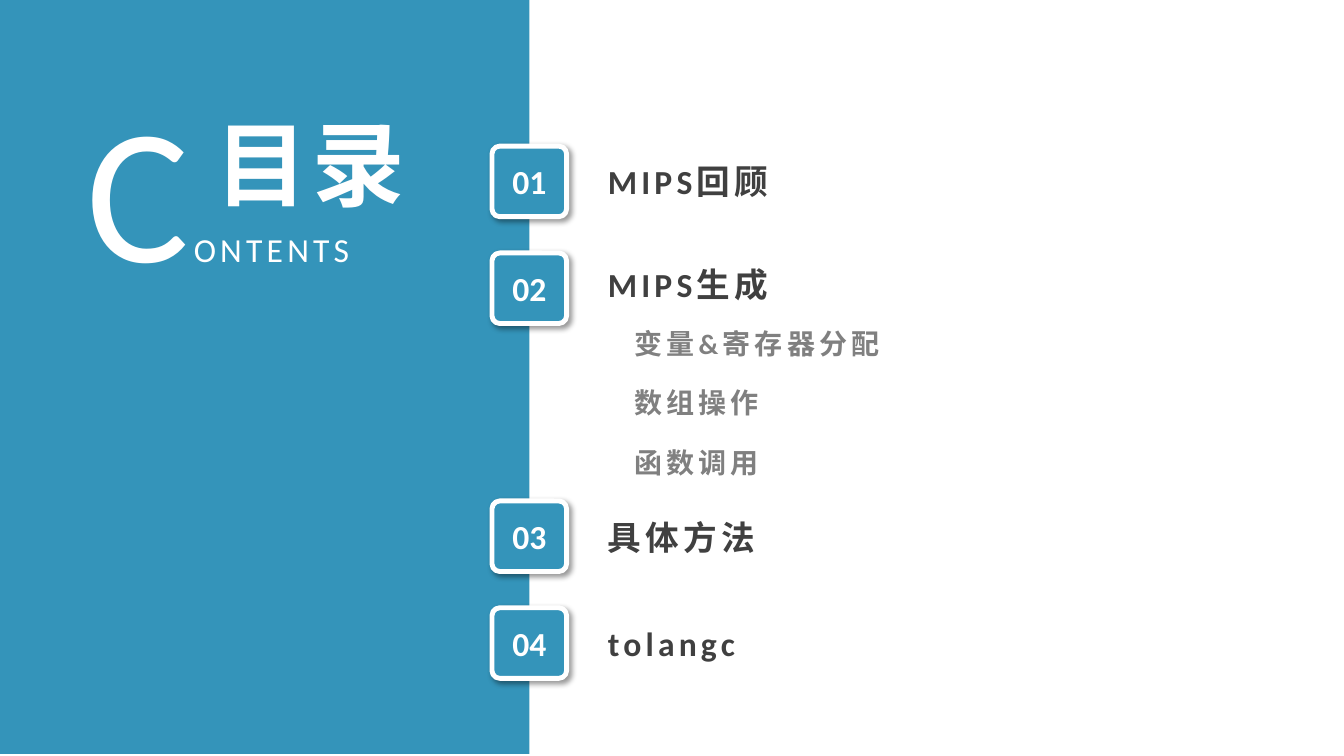
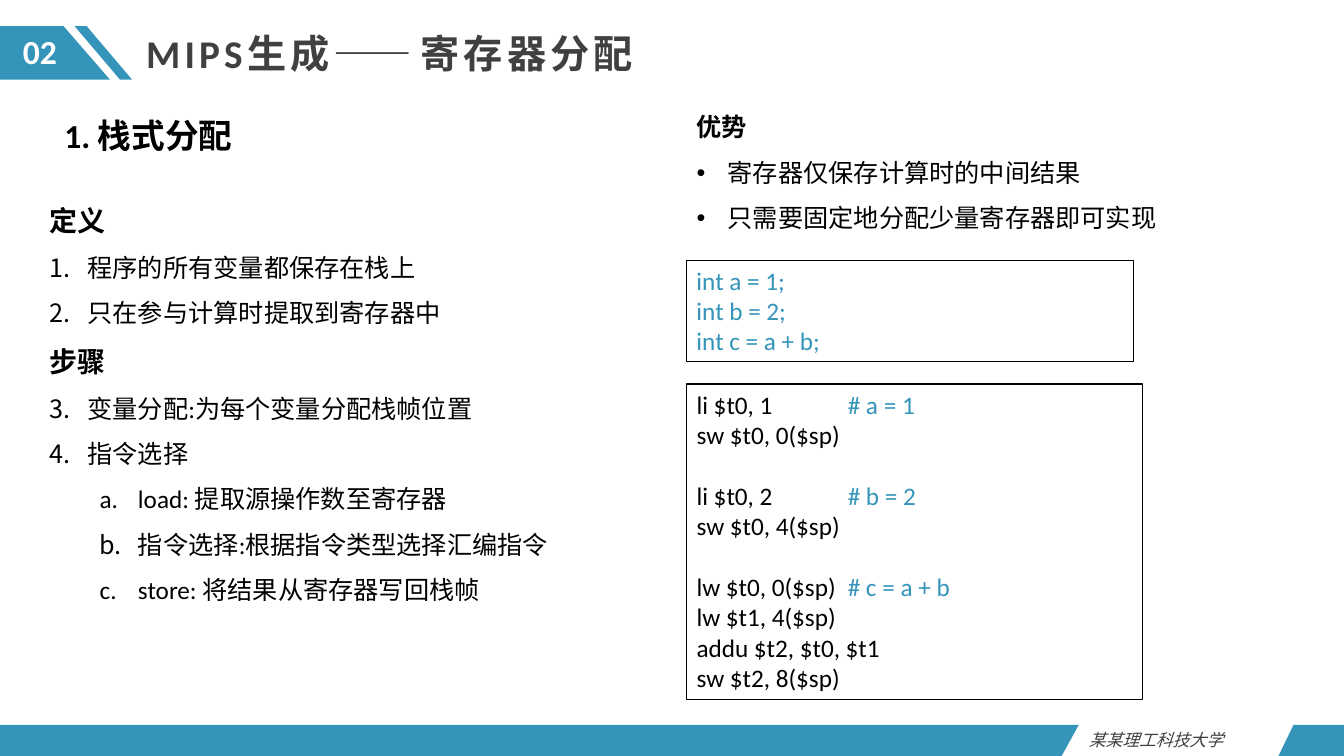
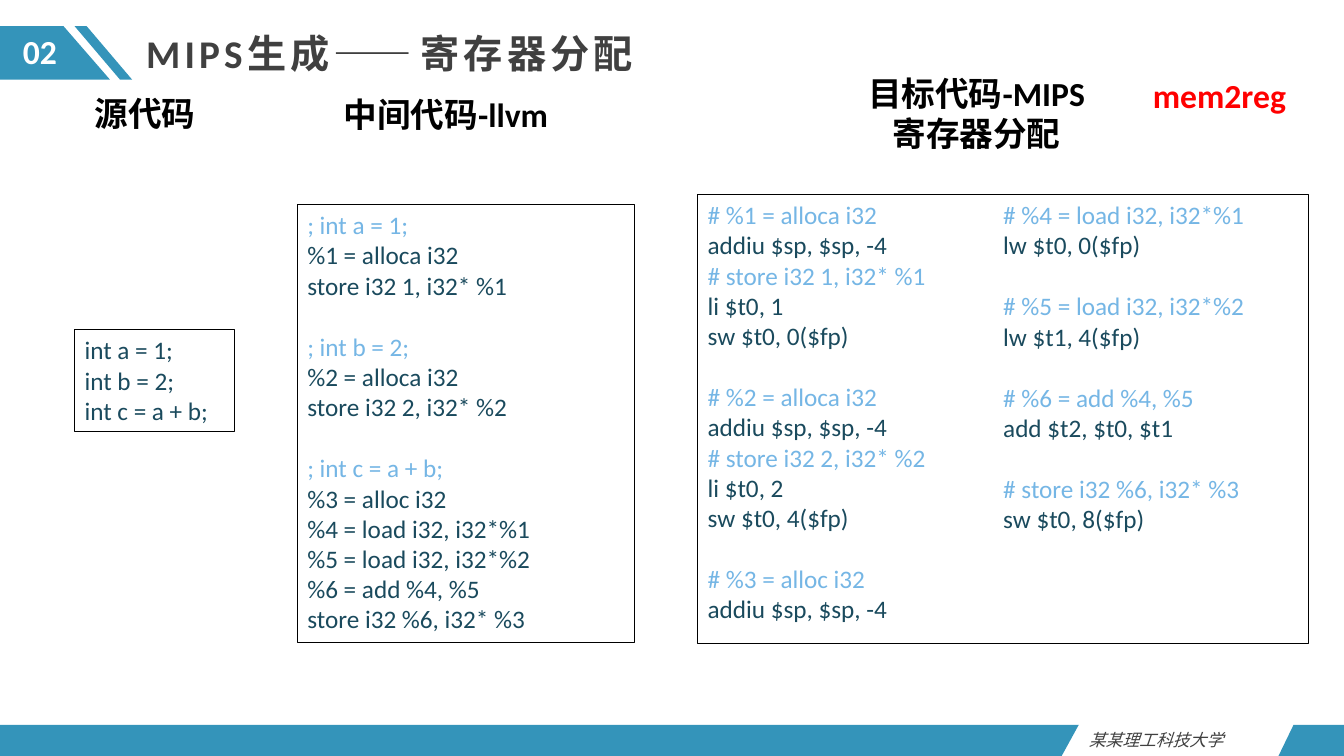
from dataclasses import dataclass

from lxml import etree
from pptx import Presentation
from pptx import util as u
from pptx.dml.color import RGBColor
from pptx.enum import lang, shapes, text
from pptx.oxml import parse_xml
from pptx.oxml.ns import nsdecls, qn

LEFT, CENTER = text.PP_ALIGN.LEFT, text.PP_ALIGN.CENTER


@dataclass(frozen=True)
class Theme:
    font: str = "Calibri"
    accent: str = "3494BA"
    white: str = "FFFFFF"
    black: str = "000000"
    dark: str = "404040"
    gray: str = "808080"
    navy: str = "1A4A5D"
    sky: str = "75B6E5"
    red: str = "FF0000"
    initial: int = 138
    cover: int = 66
    title: int = 28
    head: int = 24
    sub: int = 20
    body: int = 18
    note: int = 12
    code_gap: int = 22


T = Theme()


def box(at):
    return [u.Inches(v) for v in at]


class Deck:
    def __init__(self):
        self.prs = Presentation()
        self.prs.slide_width = u.Inches(13.33)
        self.prs.slide_height = u.Inches(7.5)
        self.s = None

    def new_slide(self):
        self.s = self.prs.slides.add_slide(self.prs.slide_layouts[5])

    def style(self, r, size, color, bold=False, italic=False, spaced=False):
        f = r.font
        f.name, f.size, f.bold, f.italic = T.font, u.Pt(size), bold, italic
        f.color.rgb = RGBColor.from_string(color)
        f.language_id = lang.MSO_LANGUAGE_ID.SIMPLIFIED_CHINESE
        if spaced:
            r._r.get_or_add_rPr().set("spc", "300")

    def frame(self, sp, anchor=text.MSO_ANCHOR.TOP):
        tf = sp.text_frame
        tf.word_wrap = True
        tf.auto_size = text.MSO_AUTO_SIZE.NONE
        tf.vertical_anchor = anchor
        return tf

    def paint(self, sp, fill=None, line=None, width=0.75):
        sp.shadow.inherit = False
        if fill:
            sp.fill.solid()
            sp.fill.fore_color.rgb = RGBColor.from_string(fill)
        else:
            sp.fill.background()
        if line:
            sp.line.color.rgb = RGBColor.from_string(line)
            sp.line.width = u.Pt(width)
        else:
            sp.line.fill.background()

    def title(self, at, words, size, color):
        sp = self.s.shapes.title
        sp.left, sp.top, sp.width, sp.height = box(at)
        sp.element.getparent().append(sp.element)
        tf = self.frame(sp)
        tf.text = words
        p = tf.paragraphs[0]
        p.alignment = LEFT
        self.style(p.runs[0], size, color, bold=True, spaced=True)

    def label(self, at, words, size, color, align=LEFT, spacing=1.0, bold=True, **font):
        tf = self.frame(self.s.shapes.add_textbox(*box(at)))
        tf.text = words
        for p in tf.paragraphs:
            p.alignment, p.line_spacing = align, spacing
            self.style(p.runs[0], size, color, bold, **font)
        return tf

    def rect(self, at, fill):
        sp = self.s.shapes.add_shape(shapes.MSO_SHAPE.RECTANGLE, *box(at))
        self.paint(sp, fill)

    def polygon(self, *points):
        start, *rest = [box(pt) for pt in points]
        fb = self.s.shapes.build_freeform(*start)
        fb.add_line_segments(rest, close=True)
        self.paint(fb.convert_to_shape(), T.accent)

    def badge(self, top, number):
        sp = self.s.shapes.add_shape(
            shapes.MSO_SHAPE.ROUNDED_RECTANGLE, *box((4.88, top, 0.74, 0.7)))
        sp.adjustments[0] = 0.11
        self.paint(sp, T.accent, T.white, 3.5)
        sp.element.spPr.find(qn("a:effectLst")).append(parse_xml(
            f'<a:outerShdw {nsdecls("a")} blurRad="{u.Pt(4)}" dist="{u.Pt(3)}" '
            'dir="2700000" algn="tl" rotWithShape="0"><a:srgbClr val="000000">'
            '<a:alpha val="40000"/></a:srgbClr></a:outerShdw>'))
        tf = self.frame(sp, text.MSO_ANCHOR.MIDDLE)
        tf.margin_left = tf.margin_right = 0
        tf.text = number
        tf.paragraphs[0].alignment = CENTER
        self.style(tf.paragraphs[0].runs[0], T.head, T.white, bold=True)

    def outline(self, at, items):
        tf = self.frame(self.s.shapes.add_textbox(*box(at)))
        tf.text = "\n".join(words for _, words, _ in items)
        for p, (kind, _, size) in zip(tf.paragraphs, items):
            p.line_spacing = 1.5
            self.style(p.runs[0], size, T.black, bold=kind is None)
            if kind:
                self.bullet(p, kind)

    def bullet(self, p, kind):
        p.level = 1 if kind == "alphaLcPeriod" else 0
        hang = 0.31 if kind == "•" else 0.38
        pPr = p._p.get_or_add_pPr()
        pPr.set("marL", str(u.Inches(hang + 0.5 * p.level)))
        pPr.set("indent", str(-u.Inches(hang)))
        if kind == "•":
            etree.SubElement(pPr, qn("a:buFont")).set("typeface", "Arial")
            etree.SubElement(pPr, qn("a:buChar")).set("char", kind)
        else:
            etree.SubElement(pPr, qn("a:buFont")).set("typeface", "+mj-lt")
            etree.SubElement(pPr, qn("a:buAutoNum")).set("type", kind)

    def code(self, at, source, color, remark, columns=1, tab=None):
        sp = self.s.shapes.add_shape(shapes.MSO_SHAPE.RECTANGLE, *box(at))
        self.paint(sp, line=T.black)
        tf = self.frame(sp)
        if columns > 1:
            tf._txBody.bodyPr.set("numCol", str(columns))
        blocks = [b.splitlines() for b in source.strip().split("\n\n")]
        lines = [(line, b > 0 and i == 0)
                 for b, block in enumerate(blocks) for i, line in enumerate(block)]
        for n, (line, gap) in enumerate(lines):
            p = tf.add_paragraph() if n else tf.paragraphs[0]
            p.alignment = LEFT
            if gap:
                p.space_before = u.Pt(T.code_gap)
            mark = ";" if line.startswith(";") else "#"
            command, found, comment = line.partition(mark)
            for words, shade in ((command, color), (found + comment, remark)):
                if words:
                    r = p.add_run()
                    r.text = words
                    self.style(r, T.body, shade)
            if tab and "\t" in line:
                stops = etree.SubElement(p._p.get_or_add_pPr(), qn("a:tabLst"))
                stop = etree.SubElement(stops, qn("a:tab"))
                stop.set("pos", str(u.Inches(tab)))
                stop.set("algn", "l")

    def content_slide(self, number, words):
        self.new_slide()
        self.title((1.35, 0.24, 6.78, 0.57), words, T.title, T.dark)
        self.polygon((0, 0.26), (0.63, 0.26), (1.09, 0.79), (0, 0.79))
        self.polygon((0.86, 0.26), (1.31, 0.79), (1.19, 0.79), (0.74, 0.26))
        self.label((0, 0.26, 0.79, 0.5), number, T.head, T.white, CENTER)
        self.polygon((0, 7.19), (10.7, 7.19), (10.53, 7.5), (0, 7.5))
        self.polygon((12.83, 7.19), (13.33, 7.19), (13.33, 7.5), (12.68, 7.5))
        self.label((10.7, 7.19, 1.98, 0.3), "某某理工科技大学", T.note, T.dark,
                   bold=False, italic=True)


SOURCE = """
int a = 1;
int b = 2;
int c = a + b;
"""

STACK_CODE = """
li $t0, 1\t# a = 1
sw $t0, 0($sp)

li $t0, 2\t# b = 2
sw $t0, 4($sp)

lw $t0, 0($sp)\t# c = a + b
lw $t1, 4($sp)
addu $t2, $t0, $t1
sw $t2, 8($sp)
"""

LLVM_CODE = """
; int a = 1;
%1 = alloca i32
store i32 1, i32* %1

; int b = 2;
%2 = alloca i32
store i32 2, i32* %2

; int c = a + b;
%3 = alloc i32
%4 = load i32, i32*%1
%5 = load i32, i32*%2
%6 = add %4, %5
store i32 %6, i32* %3
"""

MIPS_CODE = """
# %1 = alloca i32
addiu $sp, $sp, -4
# store i32 1, i32* %1
li $t0, 1
sw $t0, 0($fp)

# %2 = alloca i32
addiu $sp, $sp, -4
# store i32 2, i32* %2
li $t0, 2
sw $t0, 4($fp)

# %3 = alloc i32
addiu $sp, $sp, -4
# %4 = load i32, i32*%1
lw $t0, 0($fp)

# %5 = load i32, i32*%2
lw $t1, 4($fp)

# %6 = add %4, %5
add $t2, $t0, $t1

# store i32 %6, i32* %3
sw $t0, 8($fp)
"""

TOPIC = "MIPS生成——寄存器分配"


def contents(d):
    d.new_slide()
    d.rect((0, -0.02, 5.25, 7.5), T.accent)
    tf = d.label((0.76, 0.64, 3.68, 2.42), "C", T.initial, T.white,
                 bold=False, spaced=True)
    r = tf.paragraphs[0].add_run()
    r.text = "ONTENTS"
    d.style(r, T.head, T.white, spaced=True)
    d.title((2.04, 1.01, 2.44, 1.21), "目录", T.cover, T.white)
    chapters = [(1.45, 1.55, "MIPS回顾"), (2.51, 2.57, "MIPS生成"),
                (4.97, 5.08, "具体方法"), (6.03, 6.13, "tolangc")]
    for n, (badge_top, top, words) in enumerate(chapters, 1):
        d.badge(badge_top, f"{n:02}")
        d.label((5.93, top, 3.05, 0.5), words, T.head, T.dark, spaced=True)
    for n, words in enumerate(["变量&寄存器分配", "数组操作", "函数调用"]):
        d.label((6.19, 3.19 + 0.59 * n, 4.17, 0.44), words, T.sub, T.gray, spaced=True)


def stack_allocation(d):
    d.content_slide("02", TOPIC)
    d.label((0.54, 0.89, 5.36, 0.65), "1. 栈式分配", T.head, T.black, spacing=1.5)
    d.code((6.81, 2.58, 4.43, 1.01), SOURCE, T.accent, T.accent)
    d.code((6.81, 3.81, 4.52, 3.13), STACK_CODE, T.black, T.accent, tab=1.5)
    d.outline((6.81, 0.91, 5.65, 1.42), [
        (None, "优势", T.body),
        ("•", "寄存器仅保存计算时的中间结果", T.body),
        ("•", "只需要固定地分配少量寄存器即可实现", T.body)])
    number, letter = "arabicPeriod", "alphaLcPeriod"
    d.outline((0.39, 1.8, 5.85, 4.25), [
        (None, "定义", T.sub),
        (number, "程序的所有变量都保存在栈上", T.body),
        (number, "只在参与计算时提取到寄存器中", T.body),
        (None, "步骤", T.sub),
        (number, "变量分配:为每个变量分配栈帧位置", T.body),
        (number, "指令选择", T.body),
        (letter, "load: 提取源操作数至寄存器", T.body),
        (letter, "指令选择:根据指令类型选择汇编指令", T.body),
        (letter, "store: 将结果从寄存器写回栈帧", T.body)])


def code_stages(d):
    d.content_slide("02", TOPIC)
    d.label((0.84, 0.87, 1.4, 0.5), "源代码", T.head, T.black)
    d.label((3.31, 0.88, 2.5, 0.5), "中间代码-llvm", T.head, T.black)
    d.label((8.35, 0.67, 2.67, 0.91), "目标代码-MIPS\n寄存器分配", T.head, T.black, CENTER)
    d.label((10.86, 0.69, 2.47, 0.5), "mem2reg", T.head, T.red, CENTER)
    d.code((0.74, 3.27, 1.59, 1.01), SOURCE, T.navy, T.sky)
    d.code((2.95, 2.03, 3.34, 4.34), LLVM_CODE, T.navy, T.sky)
    d.code((6.92, 1.93, 6.06, 4.45), MIPS_CODE, T.navy, T.sky, columns=2)


def main():
    d = Deck()
    contents(d)
    stack_allocation(d)
    code_stages(d)
    d.prs.save("out.pptx")


if __name__ == "__main__":
    main()
